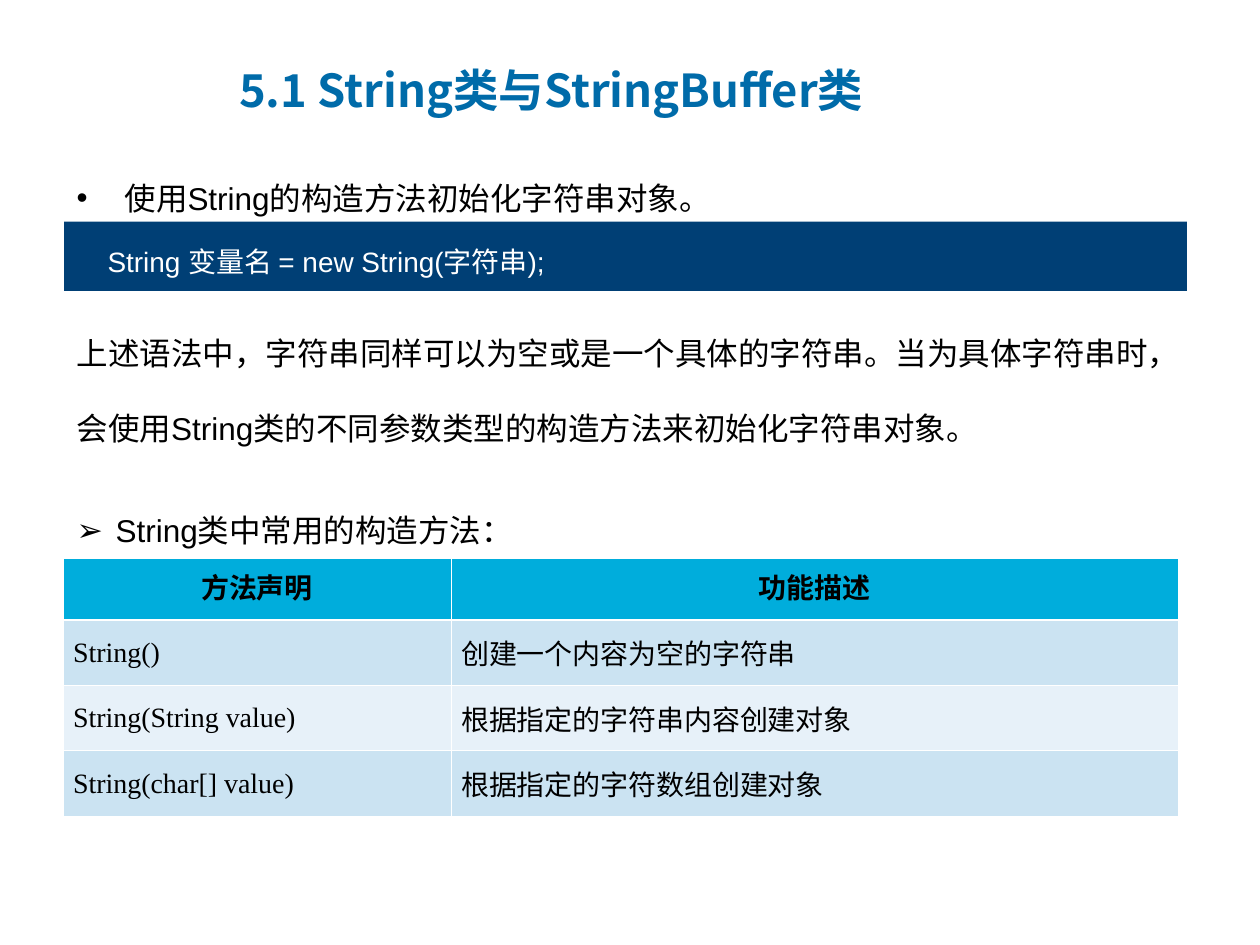
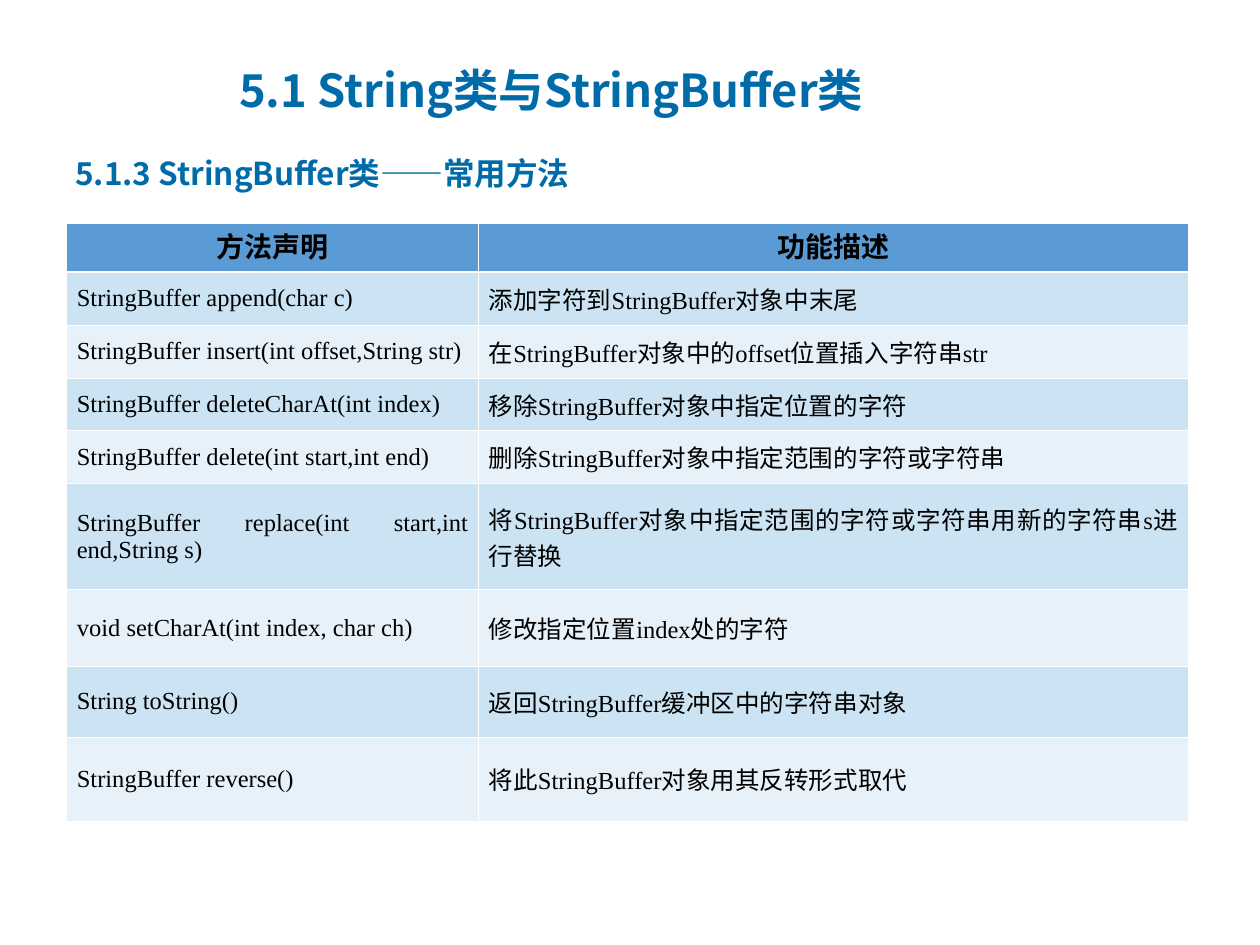
"""Build two slides on the String and StringBuffer classes."""
from lxml.etree import SubElement
from pptx import Presentation
from pptx.dml.color import RGBColor
from pptx.enum.shapes import MSO_SHAPE
from pptx.enum.text import MSO_ANCHOR, PP_ALIGN
from pptx.oxml.ns import qn
from pptx.util import Inches, Pt

COLORS = {
    "title": "006BA9", "text": "000000", "white": "FFFFFF", "code": "003F75",
    "cyan": "00ADDC", "blue": "5B9BD5", "odd": "CBE3F2", "even": "E7F1F9",
}
CJK = "Noto Sans CJK SC"
HEADING = {"font": CJK, "ea": CJK, "color": "title", "bold": True}
HEADER = ("方法声明", "功能描述")


def write(tf, text, size=18, font="Arial", ea="Calibri", color="text", bold=False,
          align=PP_ALIGN.LEFT, spacing=None, hang=0, bullet=None):
    tf.word_wrap = True
    p = tf.paragraphs[0]
    pPr = p._p.get_or_add_pPr()
    pPr.set("marL", str(Inches(hang)))
    pPr.set("indent", str(-Inches(hang)))
    if bullet:
        clr = SubElement(pPr, qn("a:buClr"))
        SubElement(clr, qn("a:srgbClr"), val=COLORS["text"])
        SubElement(pPr, qn("a:buFont"), typeface="Arial")
        SubElement(pPr, qn("a:buChar"), char=bullet)
    p.alignment = align
    if spacing:
        p.line_spacing = spacing
    r = p.add_run()
    r.text = text
    r.font.size = Pt(size)
    r.font.bold = bold
    r.font.color.rgb = RGBColor.from_string(COLORS[color])
    r.font.name = font
    SubElement(r._r.get_or_add_rPr(), qn("a:ea"), typeface=ea)


def add_methods(s, left, top, widths, heights, rows, header_fill, size):
    tbl = s.shapes.add_table(len(heights), len(widths), Inches(left), Inches(top),
                             Inches(sum(widths)), Inches(sum(heights))).table
    for col, width in zip(tbl.columns, widths):
        col.width = Inches(width)
    for i, (height, row) in enumerate(zip(heights, [HEADER, *rows])):
        tbl.rows[i].height = Inches(height)
        for j, text in enumerate(row):
            cell = tbl.cell(i, j)
            cell.vertical_anchor = MSO_ANCHOR.MIDDLE
            cell.margin_left = cell.margin_right = Inches(0.08 if i else 0.07)
            if i:
                write(cell.text_frame, text, size=size, font="Times New Roman", ea=CJK,
                      align=PP_ALIGN.JUSTIFY)
            else:
                write(cell.text_frame, text, size=16, font="Calibri", bold=True,
                      align=PP_ALIGN.CENTER)
            for side in ("L", "R", "T", "B"):
                thick = (i, side) in ((0, "B"), (1, "T"))
                ln = SubElement(cell._tc.get_or_add_tcPr(), qn("a:ln" + side),
                                w=str(Pt(1.47 if thick else 0.45)))
                SubElement(SubElement(ln, qn("a:solidFill")), qn("a:srgbClr"),
                           val=COLORS["white"])
            fill = header_fill if i == 0 else "odd" if i % 2 else "even"
            cell.fill.solid()
            cell.fill.fore_color.rgb = RGBColor.from_string(COLORS[fill])


prs = Presentation()
prs.slide_width, prs.slide_height = Inches(10), Inches(7.5)
slides = [prs.slides.add_slide(prs.slide_layouts[6]) for _ in range(2)]
for s in slides:
    tf = s.shapes.add_textbox(Inches(1.8), Inches(0.43), Inches(5.83), Inches(0.61)).text_frame
    tf.vertical_anchor = MSO_ANCHOR.MIDDLE
    write(tf, "5.1 String类与StringBuffer类", size=25.9, spacing=0.9, hang=0.63, **HEADING)

s = slides[0]
sp = s.shapes.add_shape(MSO_SHAPE.RECTANGLE, Inches(0.51), Inches(1.76), Inches(8.91), Inches(0.55))
sp.shadow.inherit = False
sp.fill.solid()
sp.fill.fore_color.rgb = RGBColor.from_string(COLORS["code"])
sp.line.fill.background()
sp.text_frame.vertical_anchor = MSO_ANCHOR.TOP
write(sp.text_frame, "    String 变量名 = new String(字符串);", size=16, color="white", spacing=1.5)

for top, height, text, hang, bullet in (
    (1.07, 0.7, "使用String的构造方法初始化字符串对象。", 0.38, "•"),
    (2.3, 1.3, "上述语法中，字符串同样可以为空或是一个具体的字符串。当为具体字符串时，"
               "会使用String类的不同参数类型的构造方法来初始化字符串对象。", 0, None),
    (3.71, 0.7, "String类中常用的构造方法：", 0.31, "➢"),
):
    sp = s.shapes.add_textbox(Inches(0.51), Inches(top), Inches(8.91), Inches(height))
    write(sp.text_frame, text, spacing=2.0, hang=hang, bullet=bullet)

constructors = [
    ("String()", "创建一个内容为空的字符串"),
    ("String(String value)", "根据指定的字符串内容创建对象"),
    ("String(char[] value)", "根据指定的字符数组创建对象"),
]
add_methods(s, 0.5, 4.43, (3.08, 5.77), [0.49] + [0.52] * 3, constructors, "cyan", 16)

s = slides[1]
sp = s.shapes.add_textbox(Inches(0.5), Inches(1.17), Inches(9), Inches(0.71))
write(sp.text_frame, "5.1.3 StringBuffer类——常用方法", **HEADING)
methods = [
    ("StringBuffer append(char c)", "添加字符到StringBuffer对象中末尾"),
    ("StringBuffer insert(int offset,String str)", "在StringBuffer对象中的offset位置插入字符串str"),
    ("StringBuffer deleteCharAt(int index)", "移除StringBuffer对象中指定位置的字符"),
    ("StringBuffer delete(int start,int end)", "删除StringBuffer对象中指定范围的字符或字符串"),
    ("StringBuffer replace(int start,int end,String s)",
     "将StringBuffer对象中指定范围的字符或字符串用新的字符串s进行替换"),
    ("void setCharAt(int index, char ch)", "修改指定位置index处的字符"),
    ("String toString()", "返回StringBuffer缓冲区中的字符串对象"),
    ("StringBuffer reverse()", "将此StringBuffer对象用其反转形式取代"),
]
add_methods(s, 0.53, 1.77, (3.27, 5.63), [0.39] + [0.42] * 4 + [0.84, 0.61, 0.56, 0.67],
            methods, "blue", 14)

prs.save("out.pptx")
